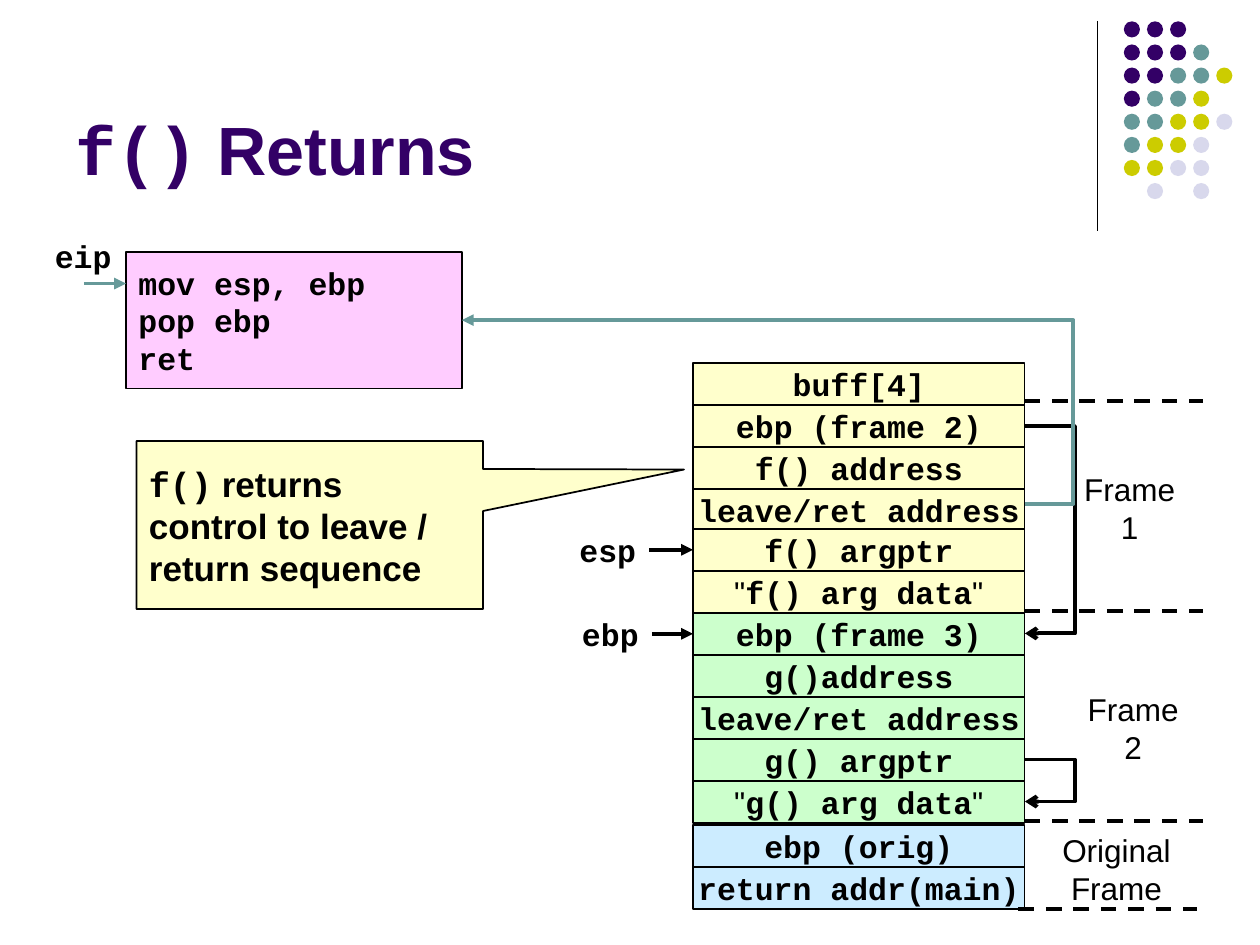
from lxml import etree
from pptx import Presentation
from pptx.dml.color import RGBColor
from pptx.enum.dml import MSO_LINE
from pptx.enum.shapes import MSO_CONNECTOR, MSO_SHAPE
from pptx.enum.text import MSO_ANCHOR, MSO_AUTO_SIZE, PP_ALIGN
from pptx.oxml.ns import qn
from pptx.util import Pt

RECT, OVAL = MSO_SHAPE.RECTANGLE, MSO_SHAPE.OVAL
CALLOUT = MSO_SHAPE.RECTANGULAR_CALLOUT
LINE, ELBOW = MSO_CONNECTOR.STRAIGHT, MSO_CONNECTOR.ELBOW
DASH = MSO_LINE.DASH
GROW = MSO_AUTO_SIZE.SHAPE_TO_FIT_TEXT
LEFT, CENTER = PP_ALIGN.LEFT, PP_ALIGN.CENTER
TOP, MIDDLE, BOTTOM = MSO_ANCHOR.TOP, MSO_ANCHOR.MIDDLE, MSO_ANCHOR.BOTTOM

CODE, SANS = "Courier New", "Arial"
BLACK, PURPLE, TEAL = "000000", "330066", "669999"
YELLOW, GREEN, BLUE, PINK = "FFFFCC", "CCFFCC", "CCECFF", "FFCCFF"
DOTS = {"P": PURPLE, "T": TEAL, "Y": "CCCC00", "L": "D8D8EC"}
DOT_ROWS = ["PPP", "PPPT", "PPTTY", "PTTY", "TTYYL", "TYYL", "YYLL", " L L"]

STACK_X, STACK_W, ROW_H = 396, 189.5, 24
STACK_R = STACK_X + STACK_W
BEND_X = 614.5


def color(text):
    return RGBColor.from_string(text)


def quote(text):
    return [('"', SANS, False), (text, CODE, True), ('"', SANS, False)]


def put(shape, *lines, font=CODE, bold=True, size=18, ink=BLACK,
        align=LEFT, anchor=TOP, wrap=False):
    """Write lines, each a string or a list of (text, font, bold) runs."""
    frame = shape.text_frame
    frame.word_wrap = wrap
    frame.vertical_anchor = anchor
    for i, line in enumerate(lines):
        para = frame.add_paragraph() if i else frame.paragraphs[0]
        para.alignment = align
        runs = [(line, font, bold)] if isinstance(line, str) else line
        for text, face, heavy in runs:
            run = para.add_run()
            run.text = text
            run.font.name = face
            run.font.bold = heavy
            run.font.size = Pt(size)
            run.font.color.rgb = color(ink)


class Deck:
    def __init__(self):
        self.prs = Presentation()
        self.prs.slide_width, self.prs.slide_height = Pt(720), Pt(540)
        self.slide = self.prs.slides.add_slide(self.prs.slide_layouts[6])
        self.shapes = self.slide.shapes

    def shape(self, kind, x, y, w, h, fill, edge=None):
        item = self.shapes.add_shape(kind, Pt(x), Pt(y), Pt(w), Pt(h))
        item.shadow.inherit = False
        item.fill.solid()
        item.fill.fore_color.rgb = color(fill)
        if edge:
            item.line.color.rgb = color(BLACK)
            item.line.width = Pt(edge)
        else:
            item.line.fill.background()
        return item

    def label(self, x, y, w, h, *lines, **style):
        box = self.shapes.add_textbox(Pt(x), Pt(y), Pt(w), Pt(h))
        put(box, *lines, **style)
        if not box.text_frame.word_wrap:
            box.text_frame.auto_size = GROW

    def line(self, x1, y1, x2, y2, ink=BLACK, width=2.25, kind=LINE,
             head=None, dash=None):
        item = self.shapes.add_connector(kind, Pt(x1), Pt(y1), Pt(x2), Pt(y2))
        item.line.color.rgb = color(ink)
        item.line.width = Pt(width)
        if dash:
            item.line.dash_style = dash
        if head:
            etree.SubElement(item.line._get_or_add_ln(), qn("a:tailEnd"), type=head)
        etree.SubElement(item._element.spPr, qn("a:effectLst"))
        return item

    def elbow(self, x1, y1, x2, y2, bend, **style):
        """Draw a connector whose upright part stands at x = bend."""
        item = self.line(x1, y1, x2, y2, kind=ELBOW, **style)
        geom = item._element.spPr.find(qn("a:prstGeom"))
        guides = geom.find(qn("a:avLst"))
        if guides is None:
            guides = etree.SubElement(geom, qn("a:avLst"))
        ratio = round((bend - x1) / (x2 - x1) * 100000)
        etree.SubElement(guides, qn("a:gd"), name="adj1", fmla=f"val {ratio}")

    def stack(self, top, rows):
        for i, (text, fill) in enumerate(rows):
            cell = self.shape(RECT, STACK_X, top + i * ROW_H, STACK_W, ROW_H, fill, 0.75)
            put(cell, text, align=CENTER, anchor=MIDDLE)


def main():
    deck = Deck()

    deck.line(627, 12, 627, 132, width=0.75)
    for r, row in enumerate(DOT_ROWS):
        for c, key in enumerate(row):
            if key in DOTS:
                deck.shape(OVAL, 642.2 + 13.2 * c, 12.2 + 13.2 * r, 9.2, 9.2, DOTS[key])

    deck.label(36, 9.5, 594, 102, [("f()", CODE, True), (" Returns", SANS, True)],
               size=39, ink=PURPLE, anchor=BOTTOM, wrap=True)

    deck.stack(207.5, [("buff[4]", YELLOW), ("ebp (frame 2)", YELLOW),
                       ("f() address", YELLOW), ("leave/ret address", YELLOW)])
    deck.stack(302.3, [("f() argptr", YELLOW), (quote("f() arg data"), YELLOW),
                       ("ebp (frame 3)", GREEN), ("g()address", GREEN),
                       ("leave/ret address", GREEN), ("g() argptr", GREEN),
                       (quote("g() arg data"), GREEN)])
    deck.stack(471.5, [("ebp (orig)", BLUE), ("return addr(main)", BLUE)])

    for x, y, w, *lines in [(610, 265, 71, "Frame ", "1"),
                            (612, 391, 71, "Frame ", "2"),
                            (596, 471.5, 84, "Original", "Frame")]:
        deck.label(x, y, w, 50.5, *lines, font=SANS, bold=False, align=CENTER)

    for x, y in [(STACK_R, 229), (STACK_R, 349), (STACK_R, 469), (582, 519.5)]:
        deck.line(x, y, x + 102, y, dash=DASH)
    for start, end in [(243.5, 362), (434, 458)]:
        deck.elbow(STACK_R, start, STACK_R + 0.2, end, BEND_X, head="arrow")

    code = deck.shape(RECT, 72, 144, 192, 78, PINK, 0.75)
    put(code, "mov esp, ebp", "pop ebp", "ret", anchor=MIDDLE)
    deck.elbow(STACK_R, 288, 264, 183, BEND_X - 1, ink=TEAL, head="triangle")

    for x, y, text in [(324, 300, "esp"), (325.5, 348, "ebp")]:
        deck.line(x + 47, y + 14.2, STACK_X, y + 14.2, head="triangle")
        deck.label(x, y, 47, 29, text)
    deck.line(48, 162, 72, 162, ink=TEAL, head="triangle")
    deck.label(24, 132, 47, 29, "eip", align=CENTER)

    note = deck.shape(CALLOUT, 78, 252, 198, 96, YELLOW, 1)
    note.adjustments[0], note.adjustments[1] = 1.08, -0.33
    put(note, [("f()", CODE, True),
               (" returns control to leave / return sequence", SANS, True)],
        size=20, anchor=MIDDLE, wrap=True)

    deck.prs.save("out.pptx")


if __name__ == "__main__":
    main()
